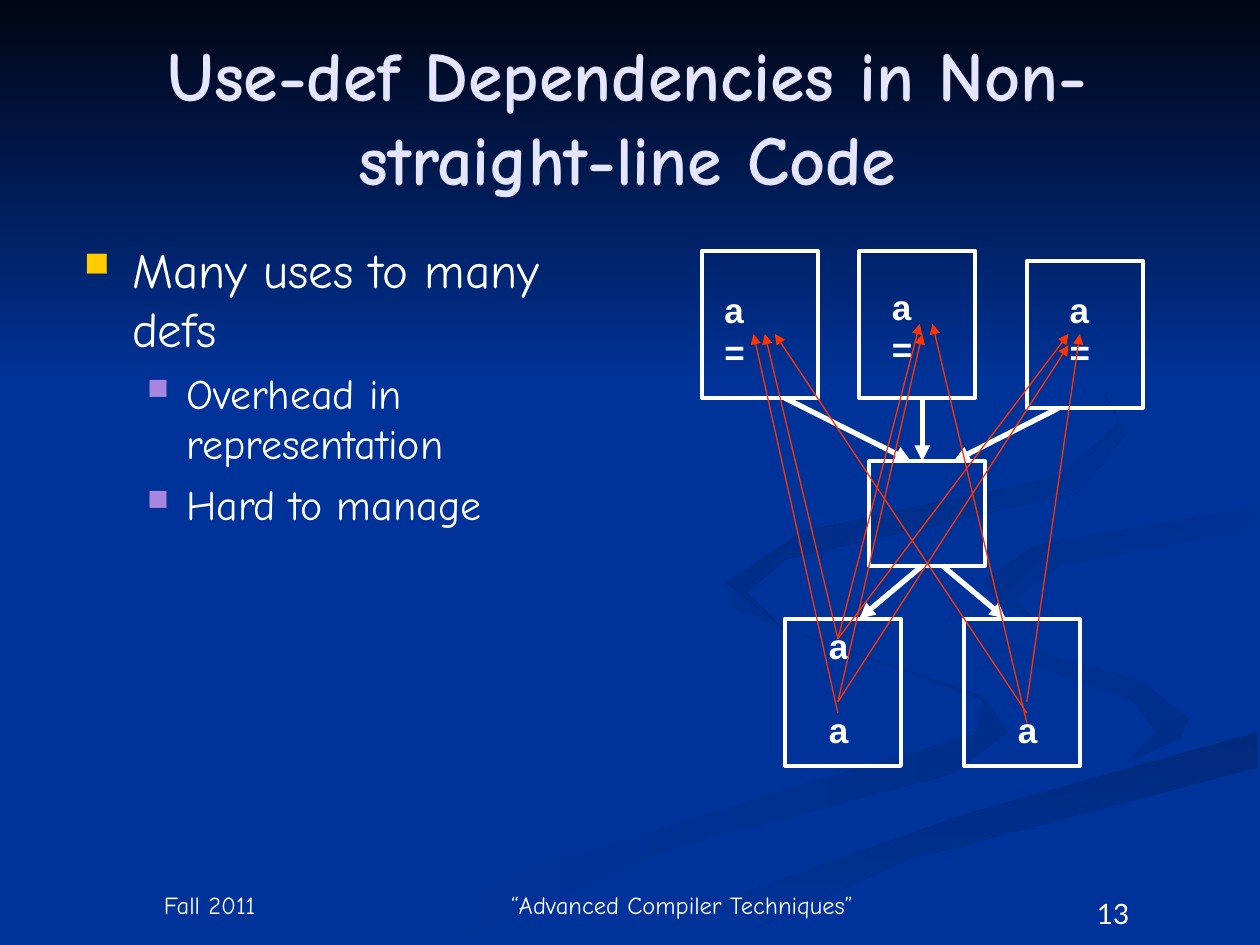
import lxml.etree
import pptx
import pptx.dml.color
import pptx.enum.shapes
import pptx.enum.text
import pptx.oxml.ns
import pptx.util

Inches = pptx.util.Inches
Pt = pptx.util.Pt
RGBColor = pptx.dml.color.RGBColor
ALIGN = pptx.enum.text.PP_ALIGN
ANCHOR = pptx.enum.text.MSO_ANCHOR
qn = pptx.oxml.ns.qn

BLUE = RGBColor(0x00, 0x33, 0x99)
NIGHT = RGBColor(0x00, 0x05, 0x14)
SWIRL_BLUE = RGBColor(0x00, 0x2E, 0x8B)
SWIRL_DEEP = RGBColor(0x00, 0x2A, 0x7D)
WHITE = RGBColor(0xFF, 0xFF, 0xFF)
LAVENDER = RGBColor(0xE5, 0xE5, 0xFF)
RED = RGBColor(0xFF, 0x33, 0x00)
GOLD = RGBColor(0xFF, 0xCC, 0x00)
VIOLET = RGBColor(0xA8, 0x86, 0xE0)

prs = pptx.Presentation()
prs.slide_width, prs.slide_height = Inches(10), Inches(7.5)
slide = prs.slides.add_slide(prs.slide_layouts[6])
slide.background.fill.solid()
slide.background.fill.fore_color.rgb = BLUE


def add_text(box, text, size, font, color, bold=False, align=ALIGN.CENTER,
             anchor=ANCHOR.TOP, wrap=True):
    label = slide.shapes.add_textbox(*map(Inches, box))
    frame = label.text_frame
    frame.word_wrap = wrap
    frame.vertical_anchor = anchor
    frame.paragraphs[0].alignment = align
    run = frame.paragraphs[0].add_run()
    run.text = text
    run.font.size, run.font.name, run.font.bold = Pt(size), font, bold
    run.font.color.rgb = color


def add_arrow(start, end, color, width):
    arrow = slide.shapes.add_connector(
        pptx.enum.shapes.MSO_CONNECTOR.STRAIGHT, *map(Inches, start + end))
    arrow.line.color.rgb = color
    arrow.line.width = Pt(width)
    lxml.etree.SubElement(arrow.line._get_or_add_ln(), qn("a:tailEnd"), type="triangle")
    lxml.etree.SubElement(arrow._element.spPr, qn("a:effectLst"))


# Background swirls: outline in hundredths of an inch, two colours, clockwise angle
swirls = [
    ([(781, 553), (614, 496), (575, 459), (581, 483), (697, 525), (781, 556),
      (774, 583), (616, 629), (417, 690), (300, 749), (361, 749), (532, 674),
      (756, 614), (800, 581)], BLUE, SWIRL_BLUE, 0),
    ([(943, 570), (905, 540), (758, 498), (724, 464), (755, 505), (900, 557),
      (918, 581), (894, 605), (937, 586)], BLUE, SWIRL_BLUE, 45),
    ([(503, 749), (571, 749), (722, 682), (998, 609), (998, 581), (764, 647),
      (599, 706)], SWIRL_DEEP, BLUE, 90),
    ([(781, 460), (791, 478), (826, 496), (805, 476), (843, 448), (998, 420),
      (998, 402), (821, 433)], SWIRL_BLUE, BLUE, 45),
    ([(683, 430), (855, 391), (894, 344), (864, 291), (762, 233), (870, 299),
      (889, 335), (842, 378), (637, 422), (577, 462), (622, 500), (593, 470),
      (624, 444)], SWIRL_DEEP, BLUE, 45),
    ([(0, 0), (0, 308), (1000, 308), (1000, 0)], NIGHT, BLUE, 90),
]
for outline, first_color, last_color, angle in swirls:
    builder = slide.shapes.build_freeform(*outline[0], scale=Inches(0.01))
    builder.add_line_segments(outline[1:], close=True)
    swirl = builder.convert_to_shape()
    swirl.shadow.inherit = False
    swirl.line.fill.background()
    swirl.fill.gradient()
    swirl.fill.gradient_angle = -angle % 360
    for stop, color, position in zip(swirl.fill.gradient_stops,
                                     (first_color, last_color), (0, 1)):
        stop.color.rgb = color
        stop.position = position

# Title and footer
add_text((0.48, 0.29, 9, 1.25), "Use-def Dependencies in Non-straight-line Code", 40,
         "Comic Neue", LAVENDER, bold=True, anchor=ANCHOR.MIDDLE)
for left, width, text in [(0.5, 2.33, "Fall 2011"),
                          (3.83, 3.17, "“Advanced Compiler Techniques”")]:
    add_text((left, 7, width, 0.35), text, 14, "Comic Neue", WHITE, anchor=ANCHOR.BOTTOM)
add_text((8, 7.07, 1.67, 0.4), "13", 16, "Lato", WHITE)

# Bulleted points: text, level
points = [("Many uses to many defs", 0), ("Overhead in representation", 1),
          ("Hard to manage", 1)]
# Size, indent, hanging and bullet colour of each level
levels = [(28, 0.38, 0.38, GOLD), (24, 0.81, 0.31, VIOLET)]
body = slide.shapes.add_textbox(*map(Inches, (0.57, 1.85, 4.33, 5.25))).text_frame
body.word_wrap = True
for i, (text, level) in enumerate(points):
    size, indent, hanging, bullet_color = levels[level]
    point = body.add_paragraph() if i else body.paragraphs[0]
    point.level = level
    props = point._p.get_or_add_pPr()
    props.set("marL", str(Inches(indent)))
    props.set("indent", str(-Inches(hanging)))
    bullet = lxml.etree.SubElement(props, qn("a:buClr"))
    lxml.etree.SubElement(bullet, qn("a:srgbClr"), val=str(bullet_color))
    lxml.etree.SubElement(props, qn("a:buSzPct"), val="70000")
    lxml.etree.SubElement(props, qn("a:buChar"), char="■")
    if i:
        point.space_before = Pt(6)
    run = point.add_run()
    run.text = text
    run.font.size, run.font.name = Pt(size), "Comic Neue"
    run.font.color.rgb = WHITE

# Flow graph: three defining blocks, a join, two using blocks
block_width, block_height, join_height = 0.92, 1.17, 0.83
def_blocks = [(5.57, 1.99), (6.82, 1.99), (8.15, 2.07)]
use_blocks = [(6.23, 4.91), (7.65, 4.91)]
join_left, join_top = 6.9, 3.66
join_bottom = join_top + join_height
blocks = [(left, top, block_height) for left, top in def_blocks + use_blocks]
for left, top, height in blocks + [(join_left, join_top, join_height)]:
    block = slide.shapes.add_shape(pptx.enum.shapes.MSO_SHAPE.RECTANGLE,
                                   *map(Inches, (left, top, block_width, height)))
    block.shadow.inherit = False
    block.fill.background()
    block.line.color.rgb = WHITE
    block.line.width = Pt(2.25)

for (left, top), start_x, end_x in zip(def_blocks, (6.23, 7.32, 8.4), (7.23, 7.32, 7.57)):
    add_arrow((start_x, top + block_height), (end_x, join_top), WHITE, 3)
for (left, top), start_x, end_x in zip(use_blocks, (7.32, 7.48), (6.82, 7.98)):
    add_arrow((start_x, join_bottom), (end_x, top), WHITE, 3)

for text, width, places in [("a =", 0.59, [(5.65, 2.24), (6.98, 2.22), (8.39, 2.24)]),
                            ("a", 0.35, [(6.48, 4.91), (6.48, 5.57), (7.98, 5.57)])]:
    for left, top in places:
        add_text((left, top, width, 0.44), text, 20, "Arial", WHITE, bold=True,
                 align=ALIGN.LEFT, wrap=False)

# Every use points at all three definitions: use x, then (use y, definition) pairs
use_def_links = [
    (6.65, [(5.07, (6.07, 2.65)), (5.07, (7.3, 2.57)), (5.07, (8.48, 2.65))]),
    (6.65, [(5.66, (5.98, 2.65)), (5.57, (7.32, 2.65)), (5.57, (8.48, 2.74))]),
    (8.15, [(5.66, (6.15, 2.65)), (5.74, (7.4, 2.57)), (5.57, (8.57, 2.65))]),
]
for use_x, links in use_def_links:
    for use_y, definition in links:
        add_arrow((use_x, use_y), definition, RED, 0.75)

prs.save("out.pptx")
